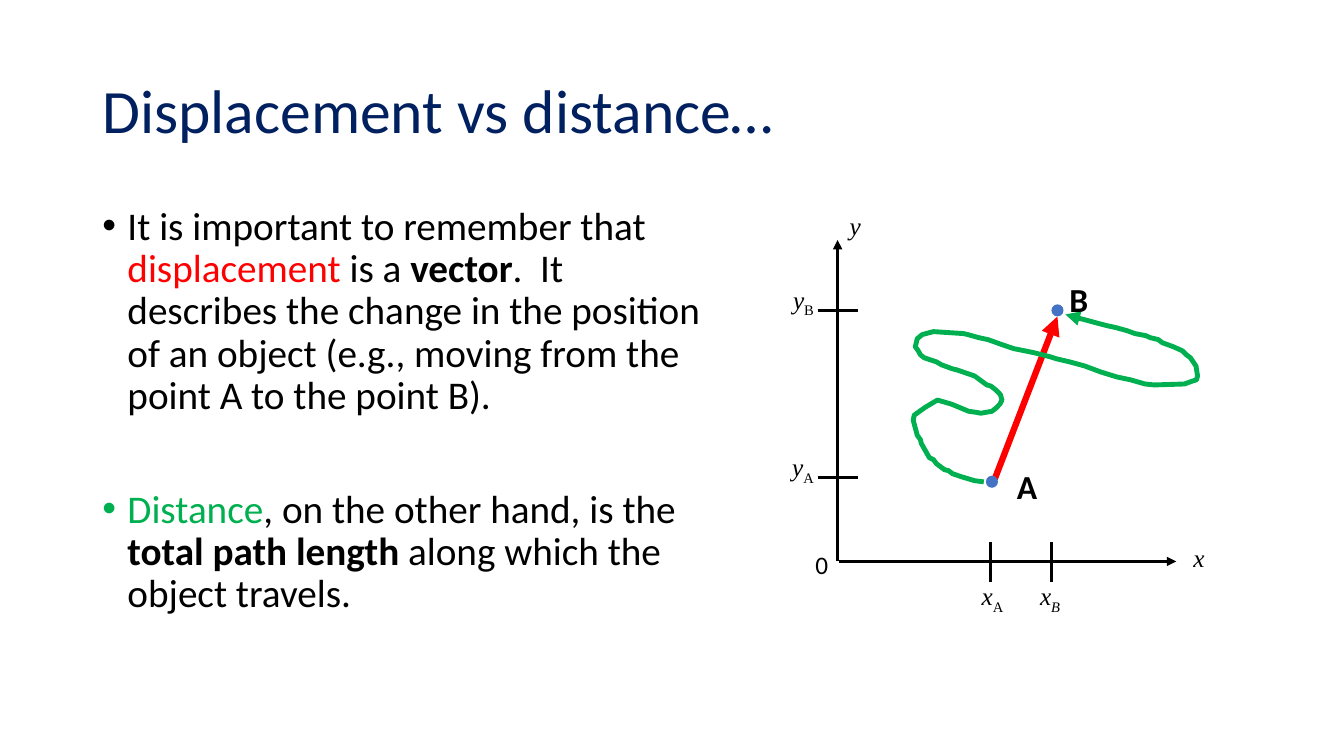
from lxml import etree
from pptx import Presentation
from pptx.dml.color import RGBColor
from pptx.enum.shapes import MSO_CONNECTOR, MSO_SHAPE
from pptx.enum.text import MSO_ANCHOR, MSO_AUTO_SIZE, PP_ALIGN
from pptx.oxml.ns import qn
from pptx.util import Pt

COLOURS = {
    "navy": "002060",
    "black": "000000",
    "red": "FF0000",
    "green": "00B050",
    "blue": "4472C4",
}


def style_span(span, size, colour="black", face="Calibri", bold=False, italic=False):
    font = span.font
    font.name, font.size, font.bold, font.italic = face, Pt(size), bold, italic
    font.color.rgb = RGBColor.from_string(COLOURS[colour])


def style_line(shape, colour, width, arrow=False):
    """Colour a line, drop its shadow and optionally give its end an arrowhead."""
    shape.line.color.rgb = RGBColor.from_string(COLOURS[colour])
    shape.line.width = Pt(width)
    properties = shape._element.spPr
    if arrow:
        etree.SubElement(properties.find(qn("a:ln")), qn("a:tailEnd"), type="triangle")
    if properties.find(qn("a:effectLst")) is None:
        etree.SubElement(properties, qn("a:effectLst"))


deck = Presentation()
deck.slide_width, deck.slide_height = Pt(960), Pt(540)
page = deck.slides.add_slide(deck.slide_layouts[5])
shapes = page.shapes

# Title
title = shapes.title
title.left, title.top, title.width, title.height = Pt(66), Pt(28.75), Pt(828), Pt(104.4)
title.text_frame.text = "Displacement vs distance…"
title.text_frame.vertical_anchor = MSO_ANCHOR.MIDDLE
heading = title.text_frame.paragraphs[0]
heading.alignment = PP_ALIGN.LEFT
heading.line_spacing = 0.9
style_span(heading.runs[0], 44, "navy")

# Explanation: each bullet is a list of (text, colour, bold)
bullets = [
    [
        ("It is important to remember that ", "black", False),
        ("displacement ", "red", False),
        ("is a ", "black", False),
        ("vector", "black", True),
        (".  It describes the change in the position of an object "
         "(e.g., moving from the point A to the point B).", "black", False),
    ],
    [
        ("Distance", "green", False),
        (", on the other hand, is the ", "black", False),
        ("total path length ", "black", True),
        ("along which the object travels.", "black", False),
    ],
]
explanation = shapes.add_textbox(Pt(66), Pt(143.75), Pt(450.7), Pt(342.6)).text_frame
explanation.word_wrap = True
for index, spans in enumerate(bullets):
    para = explanation.add_paragraph() if index else explanation.paragraphs[0]
    para.line_spacing = 0.9
    para.space_before = Pt(51 * index)
    layout = para._p.get_or_add_pPr()
    layout.set("marL", str(Pt(18)))
    layout.set("indent", str(Pt(-18)))
    etree.SubElement(layout, qn("a:buFont"), typeface="Arial")
    etree.SubElement(layout, qn("a:buChar"), char="•")
    for text, colour, bold in spans:
        span = para.add_run()
        span.text = text
        style_span(span, 28, colour, bold=bold)

# Axes, displacement vector and ticks: start, end, colour, width, arrow
lines = [
    (598.3, 401, 598.3, 171.4, "black", 2.25, True),
    (599, 401, 840.2, 401, "black", 2.25, True),
    (710.6, 342, 755.3, 226.1, "red", 4.5, True),
    (707.8, 387, 707.8, 416, "black", 2.25, False),
    (751, 387, 751, 416, "black", 2.25, False),
    (584, 221.8, 613, 221.8, "black", 2.25, False),
    (584, 341.3, 613, 341.3, "black", 2.25, False),
]
for x1, y1, x2, y2, colour, width, arrow in lines:
    line = shapes.add_connector(MSO_CONNECTOR.STRAIGHT, Pt(x1), Pt(y1), Pt(x2), Pt(y2))
    style_line(line, colour, width, arrow)

# Travelled path from A to B
path_points = [
    (702.7, 344.2), (696.2, 343.4), (686.9, 340.6), (680.4, 338.4), (677.5, 336.2),
    (674.6, 335.5), (668.9, 331.2), (666.7, 328.3), (663.8, 326.9), (658.1, 316.8),
    (657.4, 313.9), (655.2, 311), (652.3, 300.2), (653, 296.6), (661, 290.9),
    (669.6, 285.8), (672.5, 286.6), (679.7, 288.7), (691.9, 293.8), (697, 294.5),
    (700.6, 295.2), (708.5, 293.8), (711.4, 291.6), (714.2, 288.7), (715.7, 285.8),
    (714.6, 281.9), (711.4, 278.6), (707.8, 275.8), (704.9, 275), (702, 272.9),
    (696.2, 268.6), (691.9, 267.1), (683.3, 264.2), (680.4, 263.5), (672.5, 260.6),
    (668.9, 258.5), (660.2, 255.6), (657.4, 253.4), (655.9, 250.6), (653.8, 247.7),
    (655.2, 241.9), (658.8, 239), (666.7, 236.9), (688.3, 238.3), (691.2, 239),
    (699.1, 241.2), (705.6, 242.6), (709.9, 244.1), (715.7, 246.2), (724.3, 249.1),
    (727.9, 249.8), (738.7, 252), (750.2, 254.9), (754.6, 256.3), (763.9, 258.5),
    (774.7, 261.4), (786.2, 265.7), (797.8, 269.3), (807.8, 271.4), (817.9, 274.3),
    (824.4, 275), (846, 274.3), (851.8, 272.2), (854.6, 271.4), (855.4, 268.6),
    (854.3, 261.5), (850.3, 255.6), (847.4, 253.4), (844.6, 250.6), (838.1, 247.7),
    (830.2, 244.8), (827.3, 242.6), (821.5, 241.2), (818.6, 239.8), (810.7, 238.3),
    (805, 236.2), (797, 234), (790.6, 232.6), (784.8, 231.1), (774, 228.2),
    (765.4, 226.1), (761, 224.6),
]
vertices = [(Pt(x), Pt(y)) for x, y in path_points]
builder = shapes.build_freeform(*vertices[0])
builder.add_line_segments(vertices[1:], close=False)
travelled = builder.convert_to_shape()
travelled.fill.background()
style_line(travelled, "green", 3.5, arrow=True)

# Points A and B
for left, top in [(704.2, 339.8), (751, 217.4)]:
    dot = shapes.add_shape(MSO_SHAPE.OVAL, Pt(left), Pt(top), Pt(8.64), Pt(8.64))
    dot.shadow.inherit = False
    dot.fill.solid()
    dot.fill.fore_color.rgb = RGBColor.from_string(COLOURS["blue"])
    dot.line.fill.background()

# Labels: left, top, width, height, text, subscript, size, face, bold, italic
SERIF = (18, "Times New Roman", False, True)
POINT = (24, "Calibri", True, False)
labels = [
    (599.8, 146.9, 22.3, 29, "y", "", *SERIF),
    (575.3, 388.8, 23.8, 29, "0", "", 18, "Calibri", False, False),
    (756.7, 195.8, 28, 36, "B", "", *POINT),
    (719.3, 329, 29.5, 36, "A", "", *POINT),
    (559.4, 199.4, 31, 29, "y", "B", *SERIF),
    (558.7, 319, 31.7, 29, "y", "A", *SERIF),
    (694.1, 411.1, 31.7, 29, "x", "A", *SERIF),
    (735.8, 411.1, 30.2, 29, "x", "B", *SERIF),
    (845.3, 383.8, 22.3, 29, "x", "", *SERIF),
]
for left, top, width, height, text, subscript, size, face, bold, italic in labels:
    box = shapes.add_textbox(Pt(left), Pt(top), Pt(width), Pt(height))
    box.text_frame.word_wrap = False
    box.text_frame.auto_size = MSO_AUTO_SIZE.SHAPE_TO_FIT_TEXT
    box.text_frame.text = text
    para = box.text_frame.paragraphs[0]
    style_span(para.runs[0], size, face=face, bold=bold, italic=italic)
    if subscript:
        span = para.add_run()
        span.text = subscript
        style_span(span, size, face=face, italic=(text + subscript == "xB"))
        span.font._element.set("baseline", "-25000")

deck.save("out.pptx")
